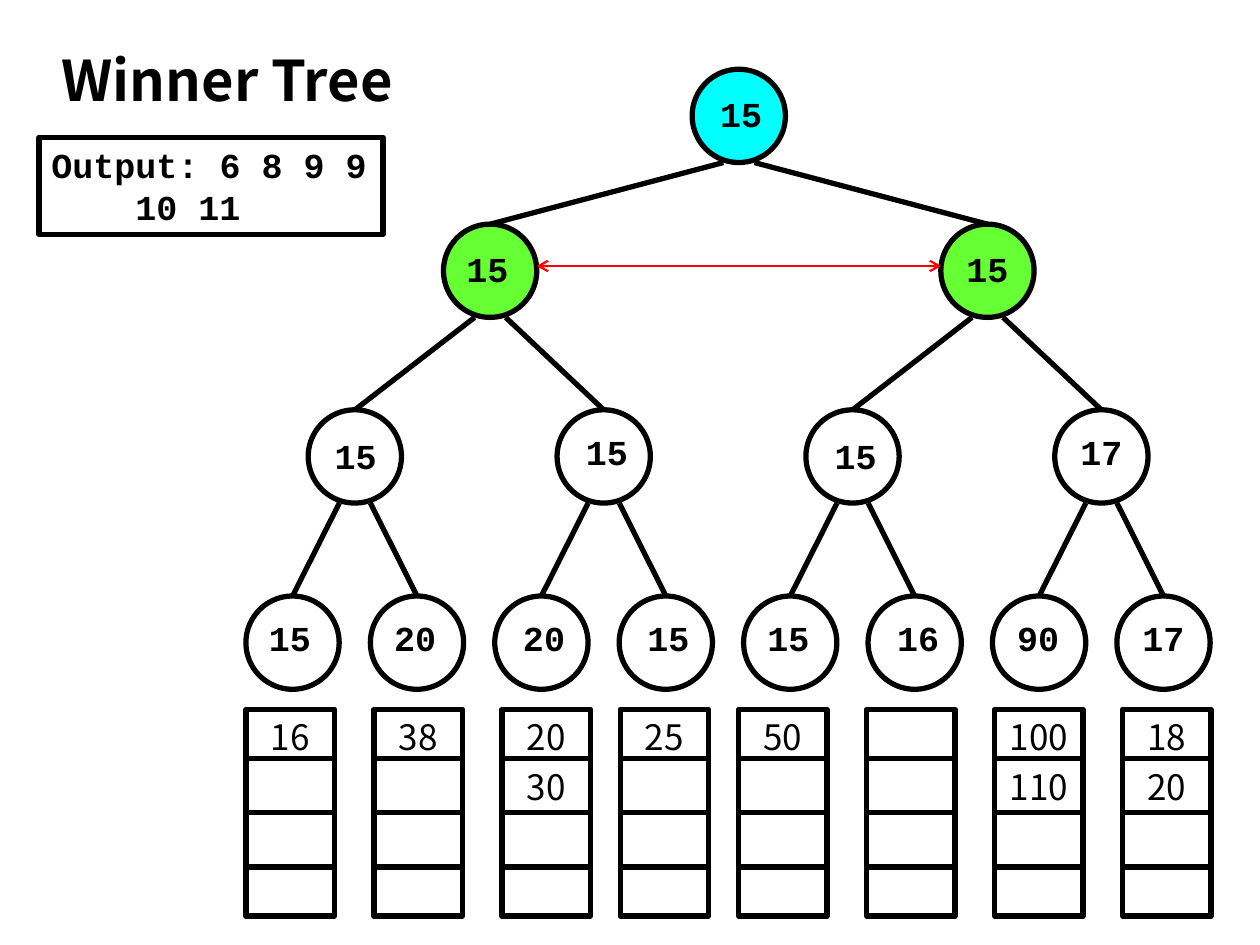
from lxml import etree
from pptx import Presentation
from pptx.dml.color import RGBColor
from pptx.enum import shapes, text
from pptx.oxml.ns import qn
from pptx.util import Pt

COLORS = {"ink": "000000", "winner": "00FFFF", "finalist": "66FF33", "match": "FF0000"}
MONO, SANS = "Courier New", "Noto Sans CJK KR"

prs = Presentation()
prs.slide_width, prs.slide_height = Pt(720), Pt(540)
s = prs.slides.add_slide(prs.slide_layouts[5])


def add_line(x1, y1, x2, y2, color="ink", width=3):
    c = s.shapes.add_connector(shapes.MSO_CONNECTOR.STRAIGHT, Pt(x1), Pt(y1), Pt(x2), Pt(y2))
    c.line.color.rgb = RGBColor.from_string(COLORS[color])
    c.line.width = Pt(width)
    etree.SubElement(c._element.spPr, qn("a:effectLst"))
    return c


def write(p, wording, font, size=20, bold=True):
    r = p.add_run()
    r.text = wording
    r.font.name, r.font.size, r.font.bold = font, Pt(size), bold
    r.font.color.rgb = RGBColor.from_string(COLORS["ink"])


# Title
title = s.shapes.title
title.left, title.top, title.width, title.height = Pt(28), Pt(22), Pt(242), Pt(46)
tf = title.text_frame
tf.auto_size = text.MSO_AUTO_SIZE.NONE
tf.vertical_anchor = text.MSO_ANCHOR.MIDDLE
tf.paragraphs[0].alignment = text.PP_ALIGN.LEFT
write(tf.paragraphs[0], "Winner Tree", SANS, 32)

# Output so far
output = s.shapes.add_shape(shapes.MSO_SHAPE.RECTANGLE, Pt(22.3), Pt(78.5), Pt(196.6), Pt(55.4))
output.shadow.inherit = False
output.fill.background()
output.line.color.rgb = RGBColor.from_string(COLORS["ink"])
output.line.width = Pt(3)
tf = output.text_frame
tf.word_wrap = False
tf.vertical_anchor = text.MSO_ANCHOR.MIDDLE
for i, (wording, indent) in enumerate([("Output: 6 8 9 9", 0), ("10 11", 48)]):
    p = tf.add_paragraph() if i else tf.paragraphs[0]
    p.alignment = text.PP_ALIGN.LEFT
    p.line_spacing = Pt(24)
    p._p.get_or_add_pPr().set("marL", str(Pt(indent)))
    write(p, wording, MONO)

# Tree levels: top, first centre, step, fill, nodes as (key, label shift right, label shift up)
DIAMETER = 53.3
LEVELS = [
    (39.6, 422.2, 0, "winner", [("15", 1.4, 1.4)]),
    (128.1, 280.1, 284.2, "finalist", [("15", -1.5, 1.4), ("15", 0, 1.4)]),
    (234.2, 202.8, 142.2, None,
     [("15", 0.5, 0.5), ("15", 1.8, 3), ("15", 1.8, 0.5), ("17", 0, 3)]),
    (340.6, 167.2, 71.1, None,
     [("15", -1.5, 3), ("20", -1, 3), ("20", 1.5, 3), ("15", 1.5, 3),
      ("15", -1, 3), ("16", 2, 3), ("90", -0.5, 3), ("17", 0, 3)]),
]
EDGE_OFFSET = 8.9
parents = []
for top, first, step, fill, nodes in LEVELS:
    centres = []
    for i, (key, right, up) in enumerate(nodes):
        cx = first + i * step
        node = s.shapes.add_shape(shapes.MSO_SHAPE.OVAL, Pt(cx - DIAMETER / 2), Pt(top),
                                  Pt(DIAMETER), Pt(DIAMETER))
        node.shadow.inherit = False
        if fill:
            node.fill.solid()
            node.fill.fore_color.rgb = RGBColor.from_string(COLORS[fill])
        else:
            node.fill.background()
        node.line.color.rgb = RGBColor.from_string(COLORS["ink"])
        node.line.width = Pt(3)
        tf = node.text_frame
        tf.word_wrap = False
        tf.vertical_anchor = text.MSO_ANCHOR.MIDDLE
        tf.margin_left, tf.margin_right = Pt(max(2 * right, 0)), Pt(max(-2 * right, 0))
        tf.margin_top, tf.margin_bottom = Pt(0), Pt(2 * up)
        tf.paragraphs[0].alignment = text.PP_ALIGN.CENTER
        write(tf.paragraphs[0], key, MONO)
        if parents:
            parent_x, parent_bottom = parents[i // 2]
            side = EDGE_OFFSET if i % 2 else -EDGE_OFFSET
            edge = add_line(cx, top, parent_x + side, parent_bottom)
            edge.begin_connect(node, 0)
        centres.append((cx, top + DIAMETER))
    parents = centres

# Match between the two finalists
match = add_line(306.7, 152, 537.8, 152, "match", 1.25)
ln = match.line._get_or_add_ln()
for end in ("a:headEnd", "a:tailEnd"):
    etree.SubElement(ln, qn(end), type="arrow")

# Runs waiting below the leaves
RUN_TOP, RUN_WIDTH, RUN_HEIGHT = 405.3, 50.6, 118.2
MIDDLE = RUN_TOP + RUN_HEIGHT / 2
DIVIDERS = [MIDDLE - 31, MIDDLE, MIDDLE + 31]
RUNS = [(140.6, ["16"]), (213.7, ["38"]), (286.8, ["20", "30"]), (354.4, ["25"]),
        (422, ["50"]), (495.2, []), (568.3, ["100", "110"]), (641.4, ["18", "20"])]
for left, keys in RUNS:
    box = s.shapes.add_shape(shapes.MSO_SHAPE.RECTANGLE, Pt(left), Pt(RUN_TOP),
                             Pt(RUN_WIDTH), Pt(RUN_HEIGHT))
    box.shadow.inherit = False
    box.fill.background()
    box.line.color.rgb = RGBColor.from_string(COLORS["ink"])
    box.line.width = Pt(3)
    for y in DIVIDERS:
        divider = add_line(left, y, left + RUN_WIDTH, y)
        if y == MIDDLE:
            divider.begin_connect(box, 1)
            divider.end_connect(box, 3)
    for key, y in zip(keys, [RUN_TOP, DIVIDERS[0]]):
        tf = s.shapes.add_textbox(Pt(left), Pt(y), Pt(RUN_WIDTH), Pt(31.5)).text_frame
        tf.word_wrap = True
        tf.vertical_anchor = text.MSO_ANCHOR.MIDDLE
        tf.margin_left = tf.margin_right = tf.margin_top = tf.margin_bottom = 0
        tf.paragraphs[0].alignment = text.PP_ALIGN.CENTER
        write(tf.paragraphs[0], key, SANS, bold=False)

prs.save("out.pptx")
